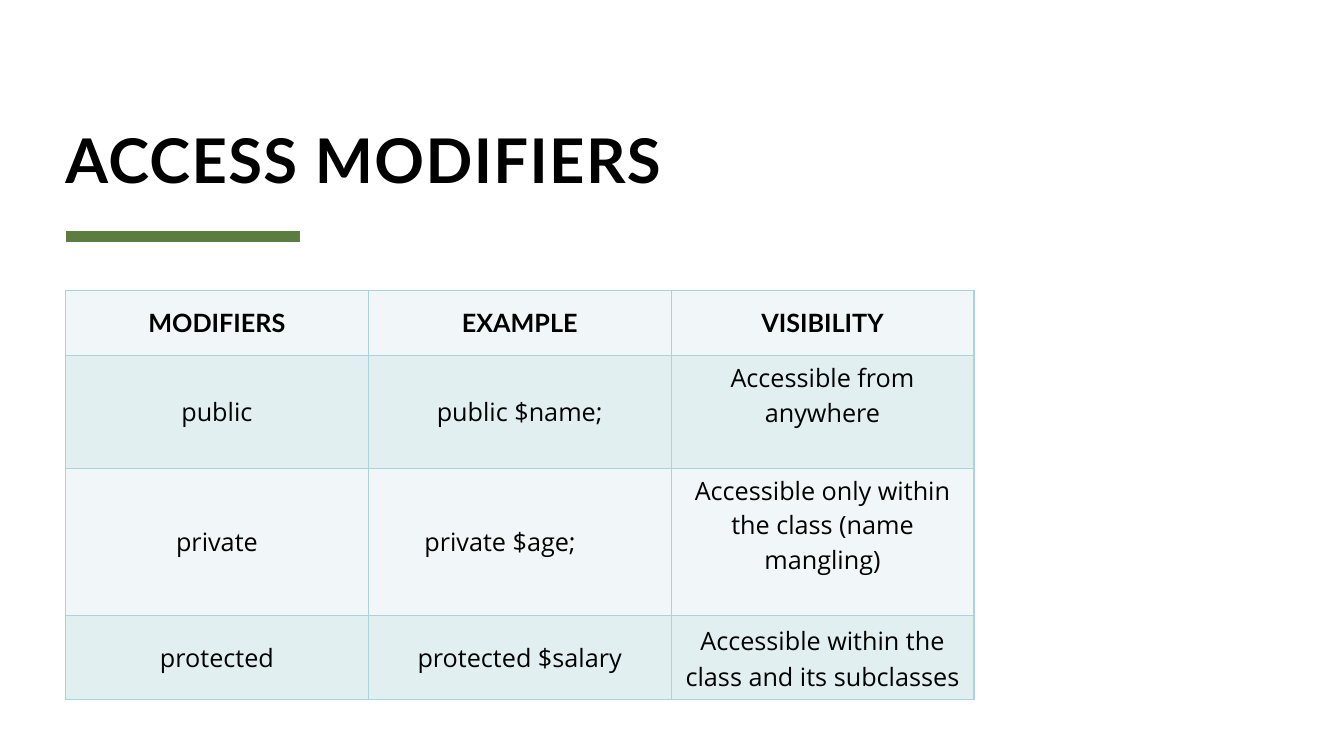
"""Build the Access Modifiers slide."""
from lxml.etree import SubElement
from pptx import Presentation
from pptx.dml.color import RGBColor
from pptx.enum.shapes import MSO_CONNECTOR
from pptx.enum.text import MSO_ANCHOR, PP_ALIGN
from pptx.oxml.ns import qn
from pptx.util import Inches, Pt

TITLE = "ACCESS MODIFIERS"
ROWS = [
    ("MODIFIERS", "EXAMPLE", "VISIBILITY"),
    ("public", "public $name;", "Accessible from anywhere"),
    ("private", "private $age;", "Accessible only within the class (name mangling)"),
    ("protected", "protected $salary", "Accessible within the class and its subclasses"),
]
ROW_HEIGHTS = [0.65, 1.12, 1.46, 0.83]
ROW_FILLS = ["F1F7F8", "E2EFF1"]
TOP_CELLS = {(1, 2), (2, 2)}
RIGHT_MARGINS = {(2, 1): 0.49}
LINE_SPACINGS = {(3, 2): 1.07}
LEFT, TABLE_TOP, TABLE_WIDTH = 0.65, 2.88, 9.01
BLACK, GREEN, BORDER = "000000", "5D7D40", "A9D4DB"


def color(value):
    return RGBColor.from_string(value)


def set_font(paragraph, name, size, bold):
    font = paragraph.font
    font.name, font.size, font.bold = name, Pt(size), bold
    font.color.rgb = color(BLACK)


def add_borders(cell):
    properties = cell._tc.get_or_add_tcPr()
    for side in ("lnL", "lnR", "lnT", "lnB"):
        line = SubElement(properties, qn(f"a:{side}"), w=str(Pt(1)))
        fill = SubElement(line, qn("a:solidFill"))
        SubElement(fill, qn("a:srgbClr"), val=BORDER)


def add_rule(slide):
    rule = slide.shapes.add_connector(
        MSO_CONNECTOR.STRAIGHT, Inches(LEFT), Inches(2.35), Inches(2.98), Inches(2.35))
    rule.line.color.rgb = color(GREEN)
    rule.line.width = Pt(8)
    SubElement(rule._element.spPr, qn("a:effectLst"))


def add_title(slide):
    box = slide.shapes.add_textbox(Inches(LEFT), Inches(0.64), Inches(12), Inches(1.3))
    frame = box.text_frame
    frame.word_wrap = True
    frame.vertical_anchor = MSO_ANCHOR.BOTTOM
    frame.margin_left = frame.margin_right = frame.margin_top = frame.margin_bottom = 0
    paragraph = frame.paragraphs[0]
    paragraph.line_spacing = 0.8
    run = paragraph.add_run()
    run.text = TITLE
    set_font(paragraph, "Lato", 44, True)
    run._r.get_or_add_rPr().set("spc", "100")


def fill_cell(cell, position, text):
    row = position[0]
    add_borders(cell)
    cell.fill.solid()
    cell.fill.fore_color.rgb = color(ROW_FILLS[row % 2])
    cell.vertical_anchor = MSO_ANCHOR.TOP if position in TOP_CELLS else MSO_ANCHOR.MIDDLE
    cell.margin_right = Inches(RIGHT_MARGINS.get(position, 0.1))
    cell.text = text
    paragraph = cell.text_frame.paragraphs[0]
    paragraph.alignment = PP_ALIGN.CENTER
    paragraph.line_spacing = LINE_SPACINGS.get(position, 1.0)
    set_font(paragraph, "Open Sans" if row else "Lato", 18, row == 0)


def add_modifier_table(slide):
    table = slide.shapes.add_table(
        len(ROWS), len(ROWS[0]), Inches(LEFT), Inches(TABLE_TOP),
        Inches(TABLE_WIDTH), Inches(sum(ROW_HEIGHTS))).table
    table.horz_banding = False
    for row, texts in enumerate(ROWS):
        table.rows[row].height = Inches(ROW_HEIGHTS[row])
        for column, text in enumerate(texts):
            fill_cell(table.cell(row, column), (row, column), text)


def main():
    presentation = Presentation()
    presentation.slide_width = Inches(13.33)
    presentation.slide_height = Inches(7.5)
    slide = presentation.slides.add_slide(presentation.slide_layouts[6])
    add_rule(slide)
    add_title(slide)
    add_modifier_table(slide)
    presentation.save("out.pptx")


if __name__ == "__main__":
    main()
